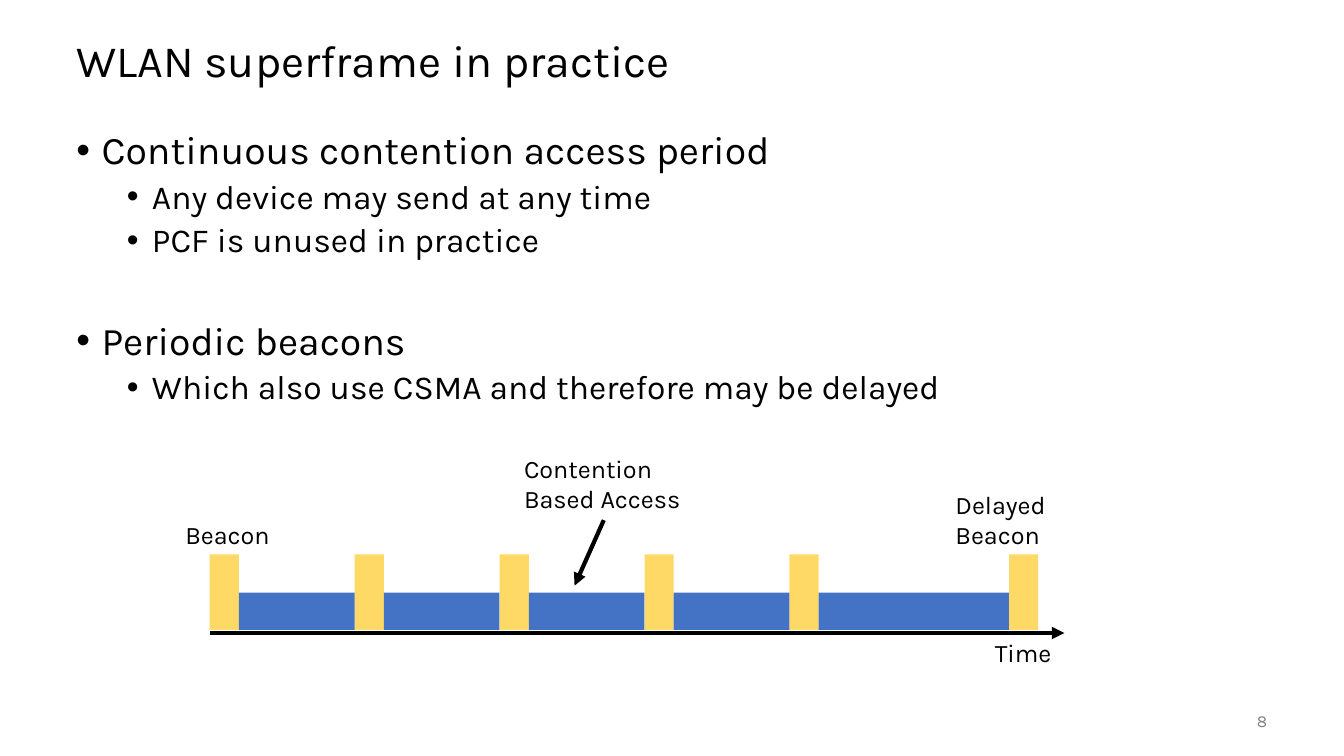
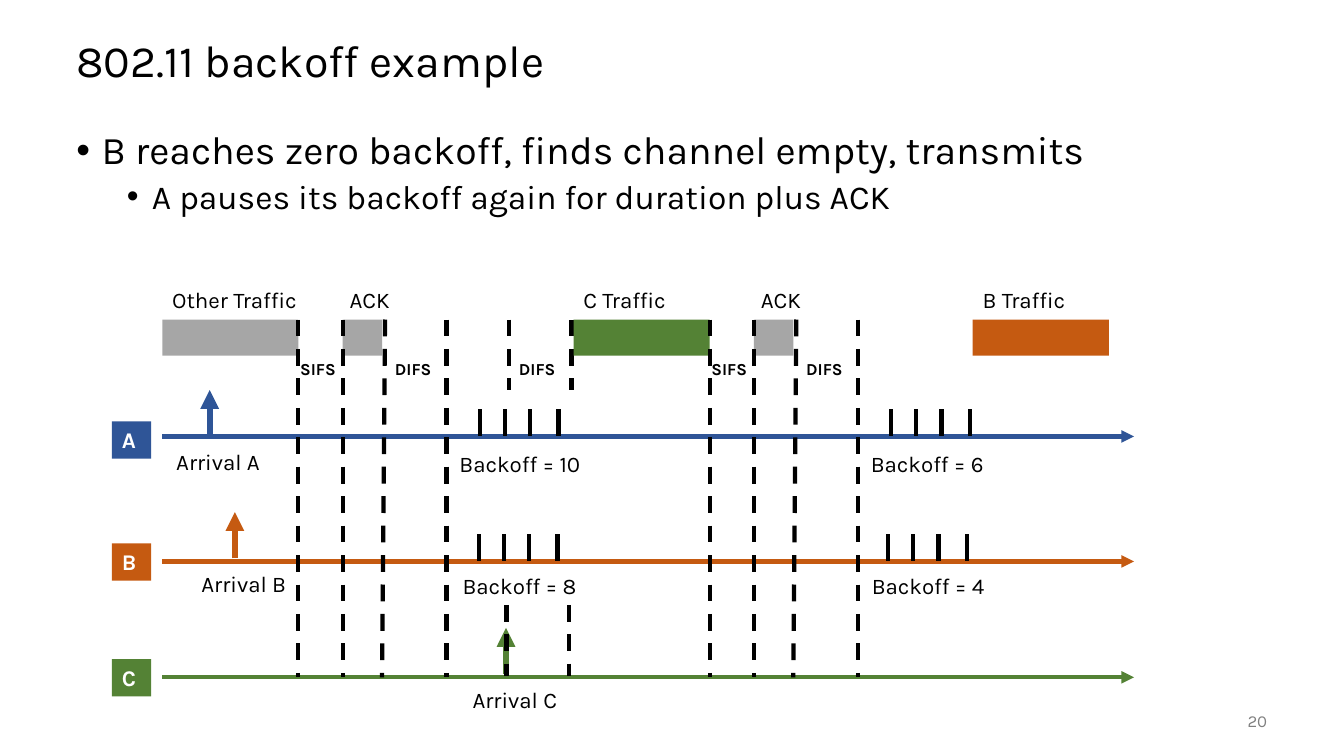
from dataclasses import dataclass
from itertools import pairwise

from lxml import etree
from pptx import Presentation
from pptx.dml.color import RGBColor
from pptx.enum.dml import MSO_LINE
from pptx.enum.shapes import MSO_CONNECTOR, MSO_SHAPE
from pptx.enum.text import MSO_ANCHOR, PP_ALIGN
from pptx.oxml.ns import qn
from pptx.presentation import Presentation as Deck
from pptx.shapes.autoshape import Shape
from pptx.slide import Slide
from pptx.util import Emu, Inches, Pt

# Grid: one column or row is a tenth of an inch
CELL = Inches(0.1)
SLIDE_COLUMNS, SLIDE_ROWS = 133.33, 75

# Shared style
FONT = "Karla"
BLACK = RGBColor(0x00, 0x00, 0x00)
WHITE = RGBColor(0xFF, 0xFF, 0xFF)
FOOTER_GRAY = RGBColor(0x80, 0x80, 0x80)
YELLOW = RGBColor(0xFF, 0xD9, 0x66)
SKY_BLUE = RGBColor(0x44, 0x72, 0xC4)
GRAY = RGBColor(0xA6, 0xA6, 0xA6)
NAVY = RGBColor(0x2F, 0x55, 0x97)
ORANGE = RGBColor(0xC5, 0x5A, 0x11)
GREEN = RGBColor(0x54, 0x82, 0x35)

RECTANGLE = MSO_SHAPE.RECTANGLE
STRAIGHT = MSO_CONNECTOR.STRAIGHT
DASH = MSO_LINE.DASH
TOP, MIDDLE = MSO_ANCHOR.TOP, MSO_ANCHOR.MIDDLE
LEFT, RIGHT = PP_ALIGN.LEFT, PP_ALIGN.RIGHT


@dataclass(frozen=True)
class Area:
    left: float
    top: float
    width: float
    height: float


@dataclass(frozen=True)
class TextStyle:
    size: float
    color: RGBColor = BLACK
    bold: bool = False
    align: PP_ALIGN = LEFT
    anchor: MSO_ANCHOR = TOP
    spacing: float = 1.0


@dataclass(frozen=True)
class Bullet:
    text: str
    level: int = 0
    extra_gap: float = 0


@dataclass(frozen=True)
class Lane:
    name: str
    color: RGBColor
    axis: float
    foot: float
    arrival: float


@dataclass(frozen=True)
class Countdown:
    lane: Lane
    first_tick: float
    label_left: float
    value: int


@dataclass(frozen=True)
class Traffic:
    text: str
    left: float
    color: RGBColor
    acknowledged: bool = True


TITLE_AREA = Area(6.6, 2.5, 120, 7.5)
BODY_AREA = Area(6.6, 12.5, 120, 55)
NUMBER_AREA = Area(116.7, 69.5, 10, 4)
TITLE = TextStyle(32, anchor=MIDDLE, spacing=0.9)
NUMBER = TextStyle(12, FOOTER_GRAY, align=RIGHT, anchor=MIDDLE)
BULLET_SIZES = (28, 24)
BULLET_GAPS = (14, 5)
BULLET_INDENTS = (0.25, 0.75)
LABEL = TextStyle(18)
SMALL_LABEL = TextStyle(16)
INTERVAL_LABEL = TextStyle(12, bold=True)
BADGE = TextStyle(16, WHITE, bold=True)


def cells(count: float) -> Emu:
    return Emu(round(count * CELL))


def write(shape: Shape, lines: list[str], style: TextStyle) -> None:
    frame = shape.text_frame
    frame.word_wrap = True
    frame.vertical_anchor = style.anchor
    for index, line in enumerate(lines):
        para = frame.add_paragraph() if index else frame.paragraphs[0]
        para.alignment = style.align
        para.line_spacing = style.spacing
        span = para.add_run()
        span.text = line
        span.font.name = FONT
        span.font.size = Pt(style.size)
        span.font.bold = style.bold
        span.font.color.rgb = style.color


def add_box(page: Slide, area: Area) -> Shape:
    return page.shapes.add_textbox(cells(area.left), cells(area.top),
                                   cells(area.width), cells(area.height))


def add_label(page: Slide, area: Area, style: TextStyle, *lines: str) -> None:
    write(add_box(page, area), list(lines), style)


def add_block(page: Slide, area: Area, color: RGBColor) -> Shape:
    block = page.shapes.add_shape(RECTANGLE, cells(area.left), cells(area.top),
                                  cells(area.width), cells(area.height))
    block.shadow.inherit = False
    block.fill.solid()
    block.fill.fore_color.rgb = color
    block.line.fill.background()
    return block


def add_line(page: Slide, start: tuple[float, float], end: tuple[float, float],
             color: RGBColor = BLACK, width: float = 3,
             arrow: bool = False, dashed: bool = False) -> None:
    connector = page.shapes.add_connector(
        STRAIGHT, cells(start[0]), cells(start[1]), cells(end[0]), cells(end[1]))
    line = connector.line
    line.color.rgb = color
    line.width = Pt(width)
    if dashed:
        line.dash_style = DASH
    properties = connector._element.spPr
    if arrow:
        outline = properties.find(qn("a:ln"))
        etree.SubElement(outline, qn("a:tailEnd"), type="triangle")
    etree.SubElement(properties, qn("a:effectLst"))


def add_bullets(page: Slide, bullets: list[Bullet]) -> None:
    frame = add_box(page, BODY_AREA).text_frame
    frame.word_wrap = True
    for index, bullet in enumerate(bullets):
        para = frame.add_paragraph() if index else frame.paragraphs[0]
        para.level = bullet.level
        para.line_spacing = 0.9
        gap = BULLET_GAPS[bullet.level] + bullet.extra_gap
        para.space_before = Pt(gap if index else 0)
        properties = para._p.get_or_add_pPr()
        properties.set("marL", str(Inches(BULLET_INDENTS[bullet.level])))
        properties.set("indent", str(-Inches(0.25)))
        etree.SubElement(properties, qn("a:buFont"), typeface="Arial")
        etree.SubElement(properties, qn("a:buChar"), char="•")
        span = para.add_run()
        span.text = bullet.text
        span.font.name = FONT
        span.font.size = Pt(BULLET_SIZES[bullet.level])
        span.font.color.rgb = BLACK


def add_page(deck: Deck, title: str, number: int, bullets: list[Bullet]) -> Slide:
    page = deck.slides.add_slide(deck.slide_layouts[6])
    add_label(page, TITLE_AREA, TITLE, title)
    add_bullets(page, bullets)
    add_label(page, NUMBER_AREA, NUMBER, str(number))
    return page


def build_superframe(deck: Deck) -> None:
    page = add_page(deck, "WLAN superframe in practice", 8, [
        Bullet("Continuous contention access period"),
        Bullet("Any device may send at any time", 1),
        Bullet("PCF is unused in practice", 1),
        Bullet("Periodic beacons", extra_gap=30),
        Bullet("Which also use CSMA and therefore may be delayed", 1),
    ])

    # Time axis
    start, period, base, beacon_width = 20.8, 14.38, 62.5, 2.9
    add_line(page, (start, 62.8), (105.6, 62.8), arrow=True)
    add_label(page, Area(97.7, 62.7, 7.8, 4), LABEL, "Time")

    # Regular beacons, the delayed one, and the access periods between them
    beacons = [start + period * index for index in range(5)] + [100.1]
    for left in beacons:
        add_block(page, Area(left, base - 7.5, beacon_width, 7.5), YELLOW)
    for left, following in pairwise(beacons):
        access_left = left + beacon_width
        add_block(page, Area(access_left, base - 3.7, following - access_left, 3.7),
                  SKY_BLUE)

    # Callouts
    add_label(page, Area(93.8, 48, 12.8, 7.1), LABEL, "Delayed Beacon")
    add_label(page, Area(17.4, 51, 12.8, 4), LABEL, "Beacon")
    add_label(page, Area(51, 44.5, 17.8, 7.1), LABEL, "Contention", "Based Access")
    add_line(page, (59.9, 51.6), (57, 58.1), arrow=True)


# Timeline measures of the backoff example
LANE_LEFT, LANE_RIGHT = 16.1, 112.5
TRAFFIC_TOP, TRAFFIC_WIDTH, TRAFFIC_HEIGHT = 31.7, 13.5, 3.6
TRAFFIC_LABEL_TOP, INTERVAL_LABEL_TOP = 27.9, 35.1
TICK_OFFSETS = (0, 2.5, 5, 7.8)
LANE_A = Lane("A", NAVY, 43.3, 43.3, 20.8)
LANE_B = Lane("B", ORANGE, 55.7, 55.4, 23.3)
LANE_C = Lane("C", GREEN, 67.2, 66.9, 50.2)
LANES = (LANE_A, LANE_B, LANE_C)
COUNTDOWNS = (
    Countdown(LANE_A, 47.6, 44.6, 10),
    Countdown(LANE_B, 47.5, 44.9, 8),
    Countdown(LANE_A, 88.4, 85.4, 6),
    Countdown(LANE_B, 88.1, 85.5, 4),
)
TRAFFICS = (
    Traffic("Other Traffic", LANE_LEFT, GRAY),
    Traffic("C Traffic", 56.9, GREEN),
    Traffic("B Traffic", 96.5, ORANGE, acknowledged=False),
)


def add_lane(page: Slide, lane: Lane) -> None:
    add_line(page, (LANE_LEFT, lane.axis), (LANE_RIGHT, lane.axis), lane.color, arrow=True)
    badge = add_block(page, Area(11.1, lane.foot - 1.5, 3.9, 3.7), lane.color)
    write(badge, [lane.name], BADGE)
    add_line(page, (lane.arrival, lane.foot), (lane.arrival, lane.foot - 4.6),
             lane.color, 4.5, arrow=True)
    add_label(page, Area(lane.arrival - 4.3, lane.foot + 0.7, 13.5, 3.7),
              SMALL_LABEL, f"Arrival {lane.name}")


def add_countdown(page: Slide, countdown: Countdown) -> None:
    axis = countdown.lane.axis
    for offset in TICK_OFFSETS:
        tick = countdown.first_tick + offset
        add_line(page, (tick, axis - 2.7), (tick, axis))
    add_label(page, Area(countdown.label_left, countdown.lane.foot + 0.9, 17.1, 3.7),
              SMALL_LABEL, f"Backoff = {countdown.value}")


def add_interval(page: Slide, left: float, text: str) -> None:
    add_label(page, Area(left, INTERVAL_LABEL_TOP, 9.6, 3), INTERVAL_LABEL, text)


def add_traffic(page: Slide, traffic: Traffic) -> None:
    add_block(page, Area(traffic.left, TRAFFIC_TOP, TRAFFIC_WIDTH, TRAFFIC_HEIGHT),
              traffic.color)
    add_label(page, Area(traffic.left, TRAFFIC_LABEL_TOP, 16.4, 3.7),
              SMALL_LABEL, traffic.text)
    if not traffic.acknowledged:
        return
    end = traffic.left + TRAFFIC_WIDTH
    add_block(page, Area(end + 4.4, TRAFFIC_TOP, 3.9, TRAFFIC_HEIGHT), GRAY)
    for top_offset, foot_offset in ((0, 0), (4.4, 4.4), (8.6, 8.3), (14.7, 14.7)):
        add_line(page, (end + top_offset, TRAFFIC_TOP),
                 (end + foot_offset, LANE_C.axis), dashed=True)
    add_label(page, Area(end + 4.1, TRAFFIC_LABEL_TOP, 16.4, 3.7), SMALL_LABEL, "ACK")
    add_interval(page, end - 0.8, "SIFS")
    add_interval(page, end + 8.6, "DIFS")


def build_backoff(deck: Deck) -> None:
    page = add_page(deck, "802.11 backoff example", 20, [
        Bullet("B reaches zero backoff, finds channel empty, transmits"),
        Bullet("A pauses its backoff again for duration plus ACK", 1),
    ])
    for lane in LANES:
        add_lane(page, lane)
    for countdown in COUNTDOWNS:
        add_countdown(page, countdown)

    # Waiting time of C before it sends
    for left, top, foot in ((50.5, TRAFFIC_TOP, 38.7), (50.25, 60, 67.1)):
        for column in (left, left + 6.2):
            add_line(page, (column, top), (column, foot), dashed=True)
    add_interval(page, 50.5, "DIFS")

    for traffic in TRAFFICS:
        add_traffic(page, traffic)


def main() -> None:
    deck = Presentation()
    deck.slide_width = cells(SLIDE_COLUMNS)
    deck.slide_height = cells(SLIDE_ROWS)
    build_superframe(deck)
    build_backoff(deck)
    deck.save("out.pptx")


if __name__ == "__main__":
    main()
